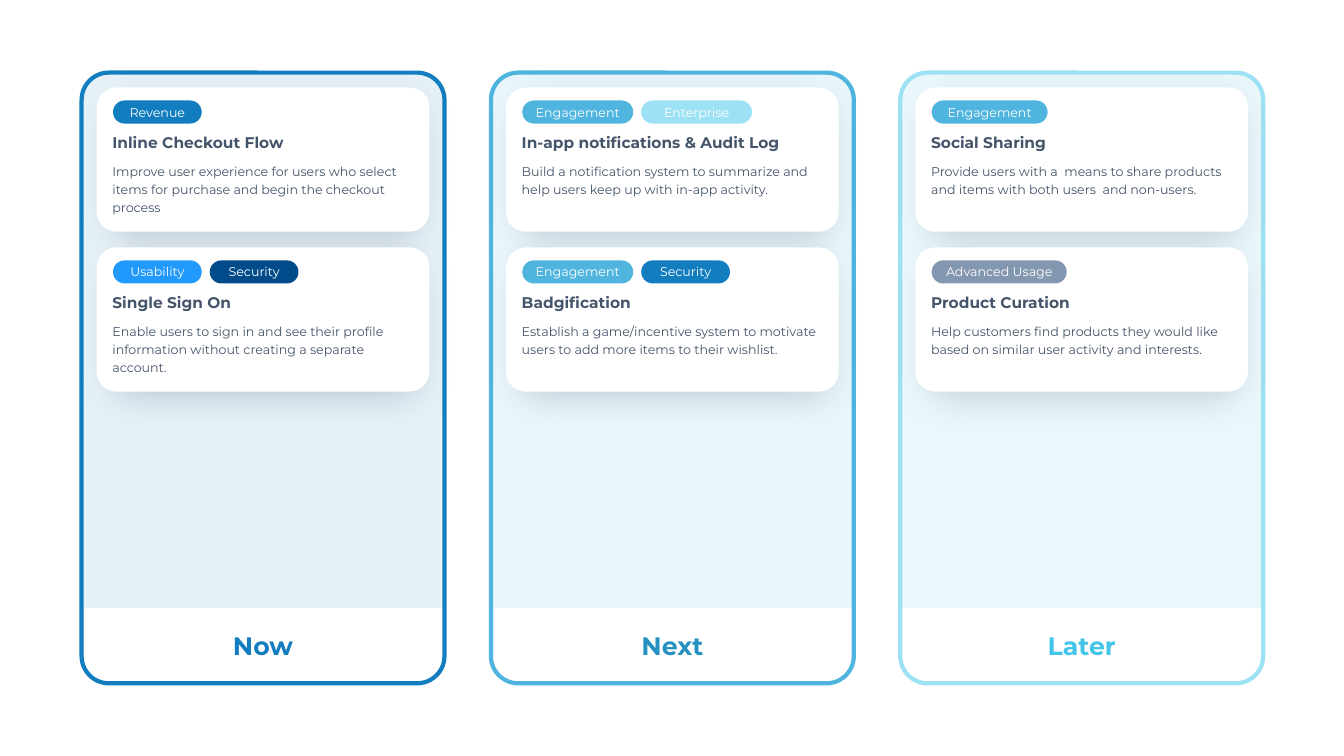
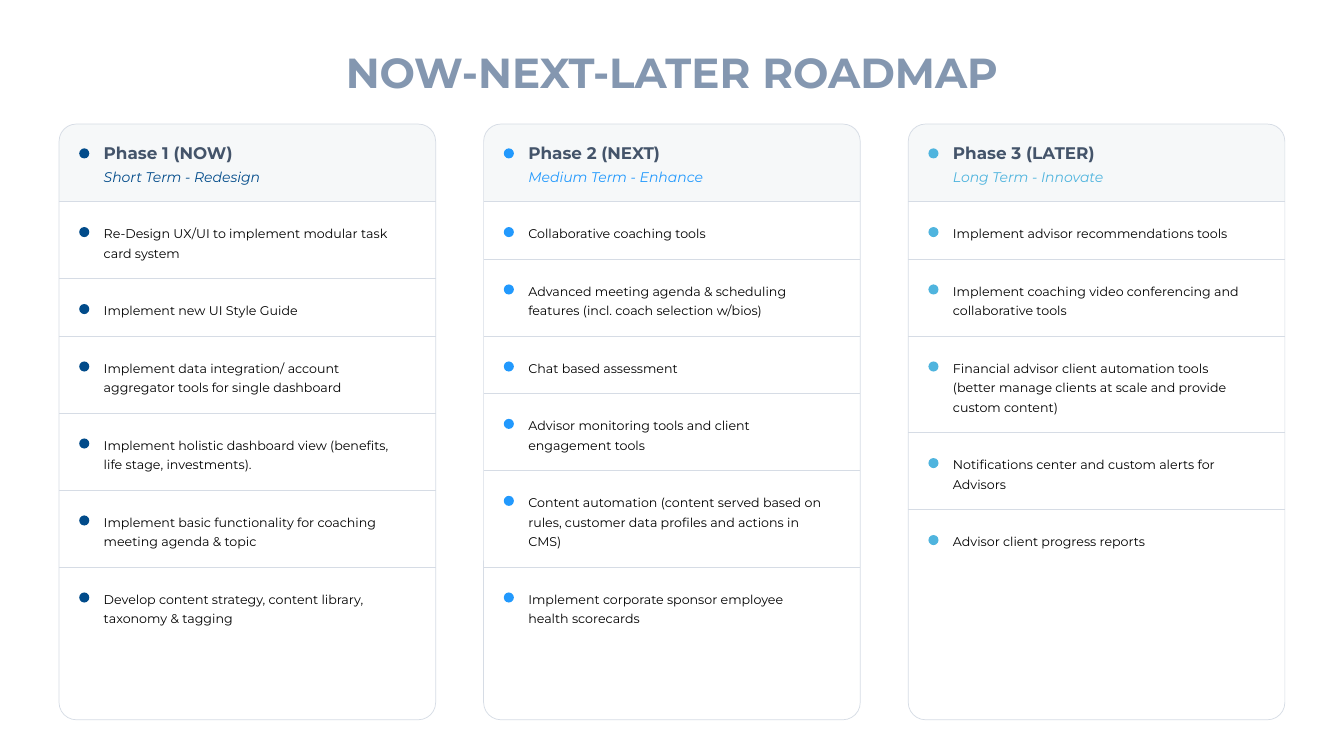
"""Build a two-slide now-next-later roadmap deck."""
import dataclasses
import typing

import lxml.etree
import pptx
import pptx.dml.color
import pptx.enum.shapes
import pptx.enum.text
import pptx.oxml.ns
import pptx.util

Pt = pptx.util.Pt
RGB = pptx.dml.color.RGBColor.from_string
SHAPE = pptx.enum.shapes.MSO_SHAPE
ALIGN = pptx.enum.text.PP_ALIGN
ANCHOR = pptx.enum.text.MSO_ANCHOR
qn = pptx.oxml.ns.qn


@dataclasses.dataclass(frozen=True)
class Theme:
    font: str = "Montserrat"
    white: str = "FFFFFF"
    black: str = "000000"
    slate: str = "44546A"
    steel: str = "8497B0"
    rule: str = "D6DCE5"
    navy: str = "014B8A"
    blue: str = "127EC0"
    bright: str = "2299FD"
    sky: str = "4FB4DE"
    ice: str = "9DE1F4"
    next_tint: str = "95D2EB"
    later_tint: str = "C4EDF8"
    next_label: str = "2491BE"
    later_label: str = "43C5EA"
    title: float = 30
    label: float = 18
    phase: float = 12
    card: float = 11
    term: float = 10
    body: float = 9
    frame_line: float = 3
    hairline: float = 0.5


T = Theme()


class Box(typing.NamedTuple):
    x: float
    y: float
    w: float
    h: float


class Para(typing.NamedTuple):
    text: str
    size: float
    color: str
    bold: bool = False
    italic: bool = False
    after: float = 0
    leading: typing.Optional[float] = None
    align: typing.Optional[ALIGN] = ALIGN.LEFT


class Tag(typing.NamedTuple):
    text: str
    color: str
    width: float


class Card(typing.NamedTuple):
    title: str
    body: str
    tags: list[Tag]


class Lane(typing.NamedTuple):
    label: str
    label_color: str
    frame: str
    tint: str
    alpha: int
    cards: list[Card]


class Item(typing.NamedTuple):
    text: str
    lines: int


class Phase(typing.NamedTuple):
    name: str
    term: str
    color: str
    items: list[Item]


LANES = [
    Lane("Now", T.blue, T.blue, T.blue, 10, [
        Card("Inline Checkout Flow",
             "Improve user experience for users who select items for purchase and begin the checkout process",
             [Tag("Revenue", T.blue, 63.4)]),
        Card("Single Sign On",
             "Enable users to sign in and see their profile information without creating a separate account.",
             [Tag("Usability", T.bright, 63.4), Tag("Security", T.navy, 63.4)]),
    ]),
    Lane("Next", T.next_label, T.sky, T.next_tint, 20, [
        Card("In-app notifications & Audit Log",
             "Build a notification system to summarize and help users keep up with in-app activity.",
             [Tag("Engagement", T.sky, 79.2), Tag("Enterprise", T.ice, 79.2)]),
        Card("Badgification",
             "Establish a game/incentive system to motivate users to add more items to their wishlist.",
             [Tag("Engagement", T.sky, 79.2), Tag("Security", T.blue, 63.4)]),
    ]),
    Lane("Later", T.later_label, T.ice, T.later_tint, 35, [
        Card("Social Sharing",
             "Provide users with a  means to share products and items with both users  and non-users.",
             [Tag("Engagement", T.sky, 82.8)]),
        Card("Product Curation",
             "Help customers find products they would like based on similar user activity and interests.",
             [Tag("Advanced Usage", T.steel, 96.5)]),
    ]),
]

PHASES = [
    Phase("Phase 1 (NOW)", "Short Term - Redesign", T.navy, [
        Item("Re-Design UX/UI to implement modular task card system", 2),
        Item("Implement new UI Style Guide", 1),
        Item("Implement data integration/ account aggregator tools for single dashboard", 2),
        Item("Implement holistic dashboard view (benefits, life stage, investments).", 2),
        Item("Implement basic functionality for coaching meeting agenda & topic", 2),
        Item("Develop content strategy, content library, taxonomy & tagging", 2),
    ]),
    Phase("Phase 2 (NEXT)", "Medium Term - Enhance", T.bright, [
        Item("Collaborative coaching tools", 1),
        Item("Advanced meeting agenda & scheduling features (incl. coach selection w/bios)", 2),
        Item("Chat based assessment", 1),
        Item("Advisor monitoring tools and client engagement tools", 2),
        Item("Content automation (content served based on rules, customer data profiles and actions in CMS)", 3),
        Item("Implement corporate sponsor employee health scorecards", 2),
    ]),
    Phase("Phase 3 (LATER)", "Long Term - Innovate", T.sky, [
        Item("Implement advisor recommendations tools", 1),
        Item("Implement coaching video conferencing and collaborative tools", 2),
        Item("Financial advisor client automation tools (better manage clients at scale and provide custom content)", 3),
        Item("Notifications center and custom alerts for Advisors", 2),
        Item("Advisor client progress reports", 1),
    ]),
]


def apply(target: typing.Any, values: dict[str, typing.Any]) -> None:
    for name, value in values.items():
        setattr(target, name, value)


def write(sp: typing.Any, paras: list[Para], **frame: typing.Any) -> None:
    tf = sp.text_frame
    apply(tf, {"word_wrap": True, "vertical_anchor": ANCHOR.TOP, **frame})
    for i, para in enumerate(paras):
        p = tf.add_paragraph() if i else tf.paragraphs[0]
        apply(p, {"alignment": para.align, "space_after": Pt(para.after)})
        if para.leading:
            p.line_spacing = Pt(para.leading)
        r = p.add_run()
        r.text = para.text
        apply(r.font, {"name": T.font, "size": Pt(para.size),
                       "bold": para.bold, "italic": para.italic})
        r.font.color.rgb = RGB(para.color)


def add_text(shapes: typing.Any, box: Box, paras: list[Para], **frame: typing.Any) -> typing.Any:
    sp = shapes.add_textbox(*map(Pt, box))
    write(sp, paras, **frame)
    return sp


def add_shape(shapes: typing.Any, kind: SHAPE, box: Box, fill: typing.Optional[str] = None,
              alpha: int = 100, line: typing.Optional[str] = None, weight: float = 0,
              adj: tuple[float, ...] = ()) -> typing.Any:
    sp = shapes.add_shape(kind, *map(Pt, box))
    sp.shadow.inherit = False
    for i, value in enumerate(adj):
        sp.adjustments[i] = value
    if fill:
        sp.fill.solid()
        sp.fill.fore_color.rgb = RGB(fill)
        if alpha < 100:
            color = sp._element.spPr.find(".//" + qn("a:srgbClr"))
            lxml.etree.SubElement(color, qn("a:alpha"), val=str(alpha * 1000))
    else:
        sp.fill.background()
    if line:
        sp.line.color.rgb = RGB(line)
        sp.line.width = Pt(weight)
    else:
        sp.line.fill.background()
    return sp


def add_rule(shapes: typing.Any, x: float, y: float, w: float) -> None:
    cx = shapes.add_connector(pptx.enum.shapes.MSO_CONNECTOR.STRAIGHT, Pt(x), Pt(y), Pt(x + w), Pt(y))
    cx.line.color.rgb = RGB(T.rule)
    cx.line.width = Pt(T.hairline)
    lxml.etree.SubElement(cx._element.spPr, qn("a:effectLst"))


def add_soft_shadow(sp: typing.Any) -> None:
    shadow = lxml.etree.SubElement(
        sp._element.spPr.find(qn("a:effectLst")), qn("a:outerShdw"),
        blurRad=str(Pt(26)), dist=str(Pt(16)), dir="2700000",
        sx="92000", sy="92000", algn="tl", rotWithShape="0")
    color = lxml.etree.SubElement(shadow, qn("a:srgbClr"), val=T.slate)
    lxml.etree.SubElement(color, qn("a:alpha"), val="25000")


def draw_card(s: typing.Any, card: Card, x: float, y: float) -> None:
    shapes = s.shapes.add_group_shape().shapes
    sp = add_shape(shapes, SHAPE.ROUNDED_RECTANGLE, Box(x, y, 237.6, 103), T.white, adj=(0.137,))
    add_soft_shadow(sp)
    write(sp, [Para(card.title, T.card, T.slate, bold=True, after=6),
               Para(card.body, T.body, T.slate, after=6, leading=13)], margin_top=Pt(28.8))
    tag_x = x + 11.6
    for tag in card.tags:
        sp = add_shape(shapes, SHAPE.ROUNDED_RECTANGLE, Box(tag_x, y + 9.3, tag.width, 16.5),
                       tag.color, adj=(0.5,))
        write(sp, [Para(tag.text, T.body, T.white, align=ALIGN.CENTER)], word_wrap=False,
              vertical_anchor=ANCHOR.MIDDLE, margin_top=0, margin_bottom=0)
        tag_x += tag.width + 5.7


def draw_lane(s: typing.Any, lane: Lane, x: float) -> None:
    top, width = 51.9, 259.2
    add_shape(s.shapes, SHAPE.ROUND_2_SAME_RECTANGLE, Box(x, top, width, 382.4),
              lane.tint, lane.alpha, adj=(0.075, 0))
    add_shape(s.shapes, SHAPE.ROUNDED_RECTANGLE, Box(x, top, width, 436.2),
              line=lane.frame, weight=T.frame_line, adj=(0.075,))
    add_text(s.shapes, Box(x, 446.6, width, 29),
             [Para(lane.label, T.label, lane.label_color, bold=True, align=ALIGN.CENTER)])
    for i, card in enumerate(lane.cards):
        draw_card(s, card, x + 10.8, top + 10.6 + i * 114.2)


def draw_bullet(s: typing.Any, x: float, dot_y: float, color: str, box: Box, paras: list[Para]) -> None:
    shapes = s.shapes.add_group_shape().shapes
    add_text(shapes, box, paras)
    add_shape(shapes, SHAPE.OVAL, Box(x + 14.4, dot_y, 7.2, 7.2), color)


def draw_phase(s: typing.Any, phase: Phase, x: float) -> None:
    top, width, header, leading = 88.6, 269, 55.4, 14
    text_x = x + 24.8
    panel = s.shapes.add_group_shape().shapes
    add_shape(panel, SHAPE.ROUND_2_SAME_RECTANGLE, Box(x, top, width, header), T.rule, 20, adj=(0.207, 0))
    add_shape(panel, SHAPE.ROUNDED_RECTANGLE, Box(x, top, width, 425.5),
              line=T.rule, weight=T.hairline, adj=(0.046,))
    draw_bullet(s, x, top + 17.4, phase.color, Box(text_x, top + 10, 226, 38),
                [Para(phase.name, T.phase, T.slate, bold=True, after=4),
                 Para(phase.term, T.term, phase.color, italic=True, after=4)])
    y = top + header
    for item in phase.items:
        add_rule(s.shapes, x, y, width)
        draw_bullet(s, x, y + 18.2, phase.color, Box(text_x, y + 10.8, 226, item.lines * leading + 6),
                    [Para(item.text, T.body, T.black, leading=leading)])
        y += item.lines * leading + 27


def draw_title(s: typing.Any, text: str) -> None:
    sp = add_text(s.shapes, Box(227.5, 26, 505, 51),
                  [Para(text, T.title, T.steel, bold=True, align=ALIGN.CENTER)],
                  word_wrap=False, vertical_anchor=ANCHOR.MIDDLE)
    fill = sp.text_frame.paragraphs[0].runs[0].font.fill
    fill.gradient()
    fill.gradient_angle = 270
    for stop, color in zip(fill.gradient_stops, (T.steel, T.slate)):
        stop.color.rgb = RGB(color)


def main() -> None:
    prs = pptx.Presentation()
    apply(prs, {"slide_width": Pt(960), "slide_height": Pt(540)})
    blank = prs.slide_layouts[6]
    s = prs.slides.add_slide(blank)
    for i, lane in enumerate(LANES):
        draw_lane(s, lane, 58.3 + i * 292.4)
    s = prs.slides.add_slide(blank)
    draw_title(s, "NOW-NEXT-LATER ROADMAP")
    for i, phase in enumerate(PHASES):
        draw_phase(s, phase, 42.2 + i * 303.3)
    prs.save("out.pptx")


if __name__ == "__main__":
    main()
